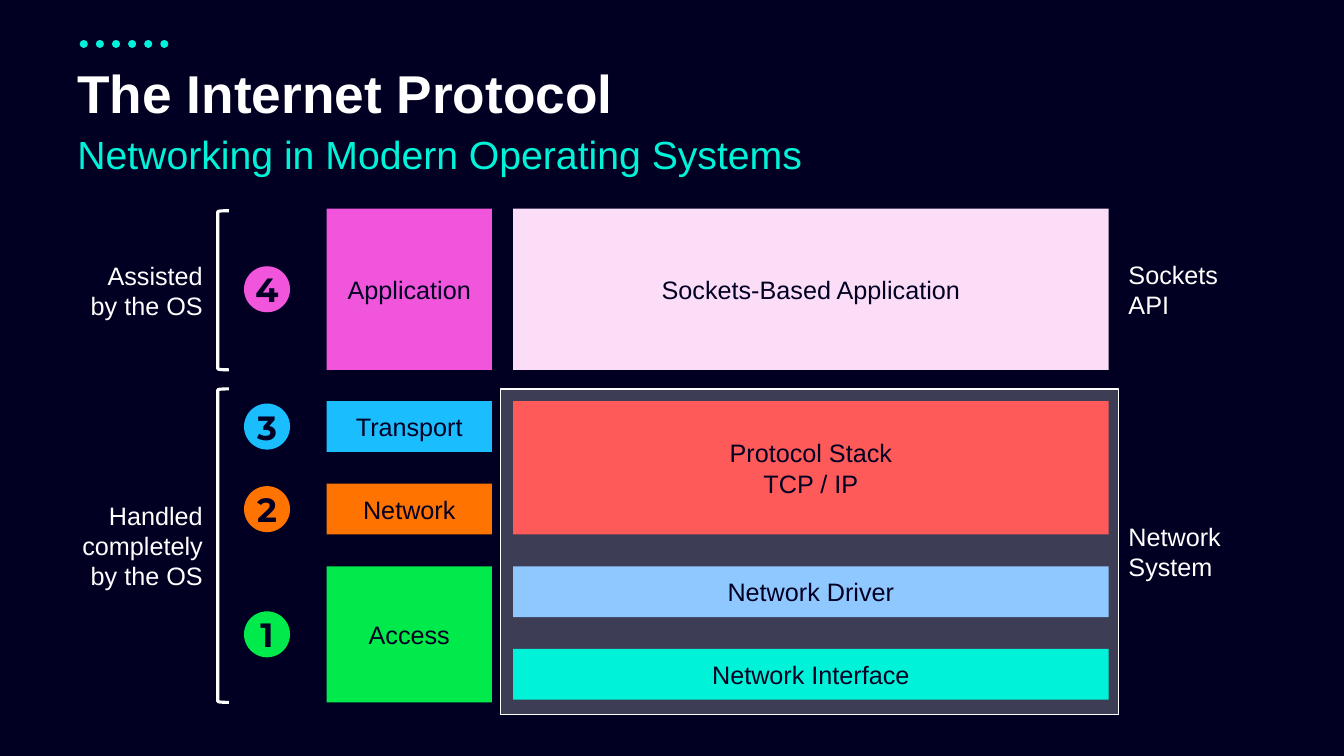
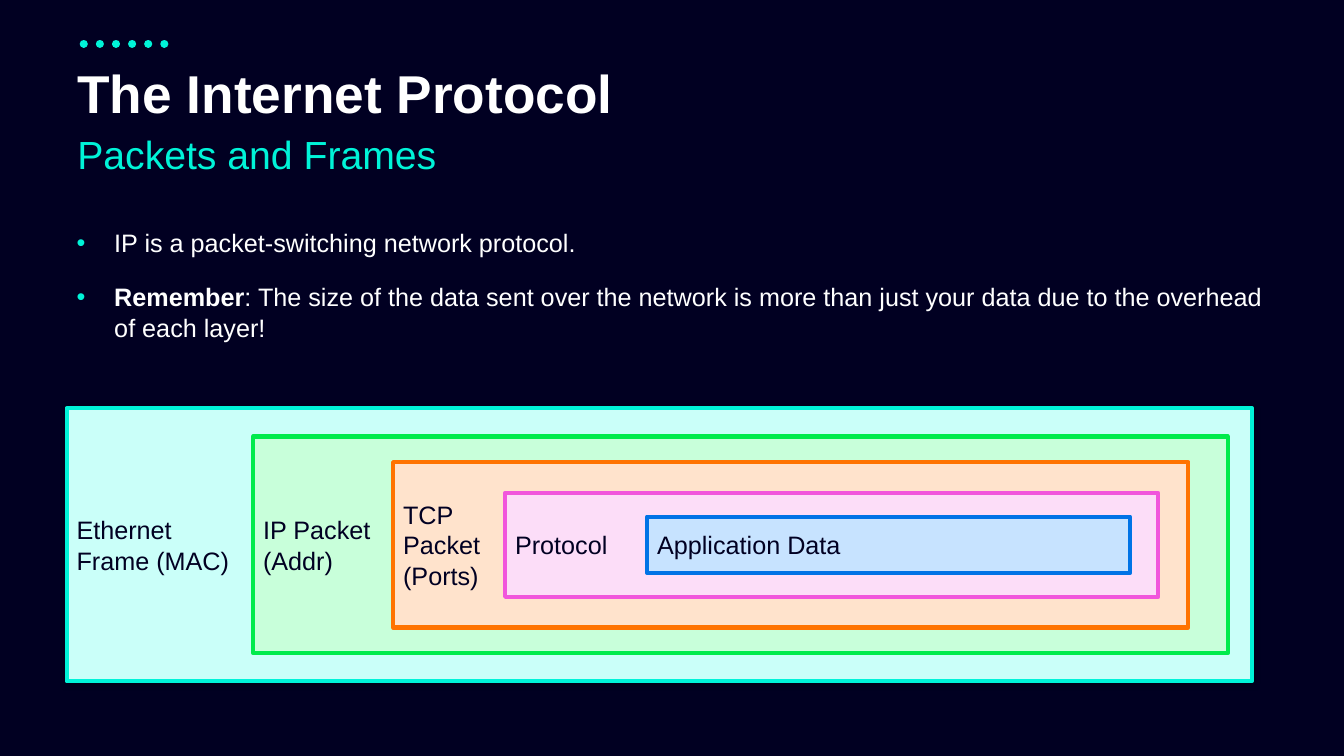
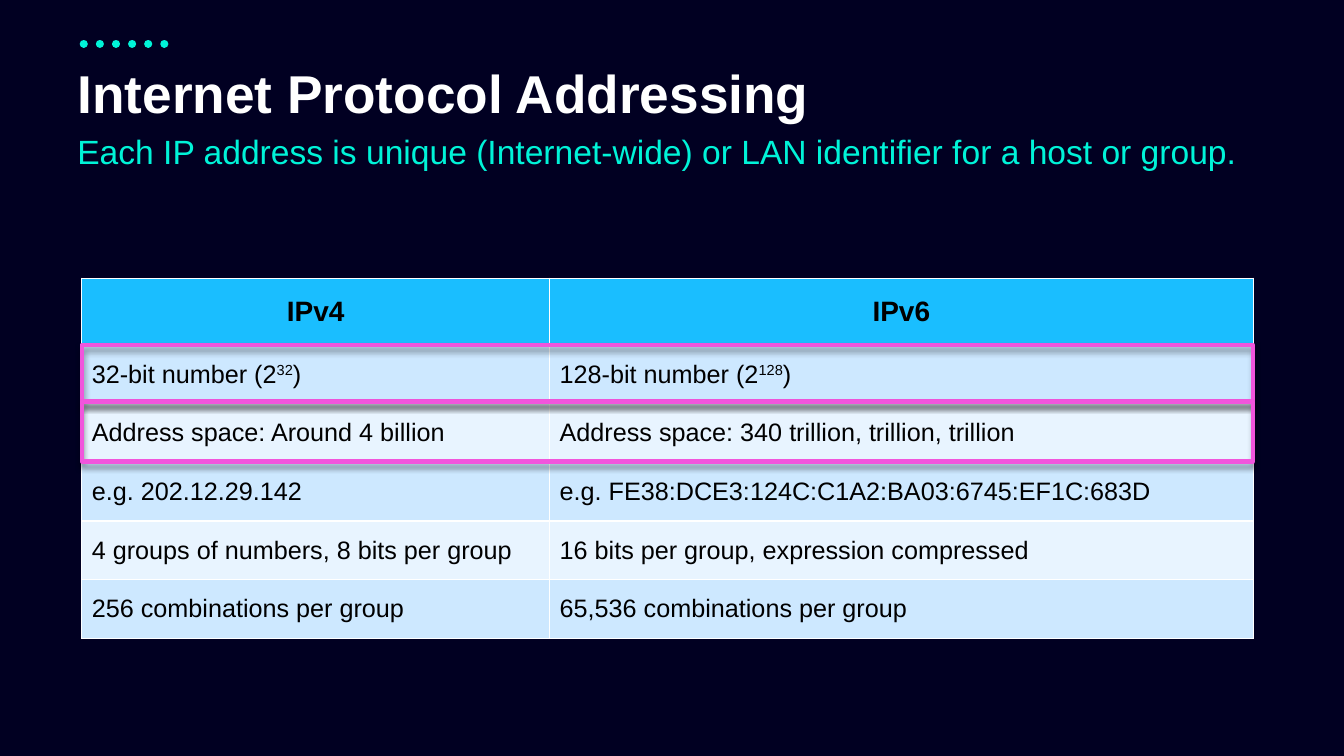
from lxml.etree import SubElement
from pptx import Presentation
from pptx.dml.color import RGBColor
from pptx.enum.dml import MSO_LINE
from pptx.enum.shapes import MSO_CONNECTOR, MSO_SHAPE as SHAPE
from pptx.enum.text import MSO_ANCHOR as ANCHOR, PP_ALIGN as ALIGN
from pptx.oxml.ns import qn
from pptx.util import Cm, Pt

NAVY = RGBColor(0x01, 0x00, 0x22)
WHITE = RGBColor(0xFF, 0xFF, 0xFF)
BLACK = RGBColor(0x00, 0x00, 0x00)
TEAL = RGBColor(0x00, 0xF3, 0xD8)
GREEN = RGBColor(0x00, 0xEB, 0x4B)
ORANGE = RGBColor(0xFF, 0x73, 0x00)
SKY = RGBColor(0x1A, 0xBE, 0xFF)
PINK = RGBColor(0xF1, 0x55, 0xDC)
CORAL = RGBColor(0xFF, 0x5A, 0x5A)
BLUE = RGBColor(0x00, 0x73, 0xE6)
SOFT_BLUE = RGBColor(0x8F, 0xC7, 0xFF)
PALE_PINK = RGBColor(0xFC, 0xDD, 0xF8)
PALE_TEAL = RGBColor(0xCA, 0xFF, 0xF9)
PALE_GREEN = RGBColor(0xC8, 0xFF, 0xDA)
PALE_ORANGE = RGBColor(0xFF, 0xE3, 0xCC)
PALE_BLUE = RGBColor(0xC7, 0xE3, 0xFF)
ROW_DARK = RGBColor(0xCD, 0xE8, 0xFF)
ROW_LIGHT = RGBColor(0xE8, 0xF4, 0xFF)

PROTOCOL = "The Internet Protocol"
STACK_HEAD = (PROTOCOL, "Networking in Modern Operating Systems", 28)
FRAMES_HEAD = (PROTOCOL, "Packets and Frames", 28)
ADDRESS_HEAD = (
    "Internet Protocol Addressing",
    "Each IP address is unique (Internet-wide) or LAN identifier for a host or group.", 24)

APP_TOP, APP_H = 5.26, 4.06
ROW_TOP, ROW_H, ROW_PITCH = 10.11, 1.28, 2.08
TRANSPORT_Y, NETWORK_Y, DRIVER_Y, INTERFACE_Y = (ROW_TOP + i * ROW_PITCH for i in range(4))
LAYERS = [
    ("1", "Access", GREEN, DRIVER_Y, 3.43),
    ("2", "Network", ORANGE, NETWORK_Y, ROW_H),
    ("3", "Transport", SKY, TRANSPORT_Y, ROW_H),
    ("4", "Application", PINK, APP_TOP, APP_H),
]
COMPONENTS = [
    ("Protocol Stack\vTCP / IP", CORAL, TRANSPORT_Y, ROW_PITCH + ROW_H),
    ("Network Interface", TEAL, INTERFACE_Y, ROW_H),
    ("Network Driver", SOFT_BLUE, DRIVER_Y, ROW_H),
    ("Sockets-Based Application", PALE_PINK, APP_TOP, APP_H),
]
SYSTEM_TOP, SYSTEM_H = 9.8, 8.2
DUTIES = [("Assisted by the OS", 5.31, 4.01), ("Handled completely by the OS", SYSTEM_TOP, 7.9)]
INTERFACES = [("Sockets API", APP_TOP, APP_H), ("Network System", SYSTEM_TOP, SYSTEM_H)]

BULLETS = [
    [("IP is a packet-switching network protocol.", "")],
    [("Remember", "bold"),
     (": The size of the data sent over the network is more than just your data "
      "due to the overhead of each layer!", "")],
]
FRAME_MIDDLE = 13.73
FRAMES = [
    ("Ethernet Frame (MAC)", PALE_TEAL, TEAL, 1.68, 29.87, 6.88, 25.4),
    ("IP Packet (Addr)", PALE_GREEN, GREEN, 6.38, 24.56, 5.46, 20.57),
    ("TCP Packet (Ports)", PALE_ORANGE, ORANGE, 9.91, 20.04, 4.17, 17.27),
    ("Protocol", PALE_PINK, PINK, 12.73, 16.46, 2.62, 13.72),
    ("Application Data", PALE_BLUE, BLUE, 16.31, 12.17, 1.42, 6.6),
]

VERSIONS = ["IPv4", "IPv6"]
FACTS = [
    ([("32-bit number (2", ""), ("32", "super"), (")", "")],
     [("128-bit number (2", ""), ("128", "super"), (")", "")]),
    ("Address space: Around 4 billion", "Address space: 340 trillion, trillion, trillion"),
    ("e.g. 202.12.29.142", "e.g. FE38:DCE3:124C:C1A2:BA03:6745:EF1C:683D"),
    ("4 groups of numbers, 8 bits per group", "16 bits per group, expression compressed"),
    ("256 combinations per group", "65,536 combinations per group"),
]
TABLE_LEFT, TABLE_TOP = 2.06, 7.01
COLUMN_WIDTHS = [11.79, 17.73]
HEADER_H, FACT_H = 1.68, 1.48
HIGHLIGHTS = [(8.69, 1.42), (10.13, 1.5)]


def write(paragraph, content, color, size=18, align=ALIGN.LEFT, bold=None, face="Arial"):
    paragraph.alignment = align
    font = paragraph.font
    font.name, font.size, font.bold = face, Pt(size), bold
    font.color.rgb = color
    if isinstance(content, str):
        content = [(content, "")]
    for text, style in content:
        if "\v" in text:
            paragraph.text = text
            continue
        run = paragraph.add_run()
        run.text = text
        if style == "bold":
            run.font.bold = True
        elif style == "super":
            run._r.get_or_add_rPr().set("baseline", "30000")


def add_box(slide, kind, left, top, width, height, fill=None, line=None, weight=1):
    box = slide.shapes.add_shape(kind, Cm(left), Cm(top), Cm(width), Cm(height))
    box.shadow.inherit = False
    if fill is None:
        box.fill.background()
    else:
        box.fill.solid()
        box.fill.fore_color.rgb = fill
    if line is None:
        box.line.fill.background()
    else:
        box.line.color.rgb = line
        box.line.width = Pt(weight)
    return box


def add_text(slide, left, top, width, height, anchor=ANCHOR.TOP):
    frame = slide.shapes.add_textbox(Cm(left), Cm(top), Cm(width), Cm(height)).text_frame
    frame.word_wrap = True
    frame.vertical_anchor = anchor
    return frame


def cast_shadow(box, blur, distance, angle):
    effects = box._element.spPr.find(qn("a:effectLst"))
    shadow = SubElement(effects, qn("a:outerShdw"), blurRad=str(Pt(blur)),
                        dist=str(Pt(distance)), dir=str(angle * 60000), rotWithShape="0")
    black = SubElement(shadow, qn("a:srgbClr"), val=str(BLACK))
    SubElement(black, qn("a:alpha"), val="40000")


def add_slide(prs, title, subtitle, subtitle_size):
    slide = prs.slides.add_slide(prs.slide_layouts[5])
    dots = slide.shapes.add_connector(MSO_CONNECTOR.STRAIGHT, Cm(2.11), Cm(1.1), Cm(4.24), Cm(1.1))
    dots.line.color.rgb = TEAL
    dots.line.width = Pt(5.75)
    dots.line.dash_style = MSO_LINE.ROUND_DOT
    dots.line._get_or_add_ln().set("cap", "rnd")
    SubElement(dots._element.spPr, qn("a:effectLst"))

    heading = slide.shapes.title
    heading.left, heading.top, heading.width, heading.height = Cm(1.7), Cm(1.55), Cm(29.87), Cm(1.73)
    heading.text_frame.vertical_anchor = ANCHOR.MIDDLE
    tagline = add_text(slide, 1.7, 3.3, 29.87, 1.98)
    for frame, text, size, color, bold in (
            (heading.text_frame, title, 38, WHITE, True),
            (tagline, subtitle, subtitle_size, TEAL, None)):
        frame.paragraphs[0].line_spacing = 0.9
        write(frame.paragraphs[0], text, color, size, bold=bold)
    return slide


def build_stack(prs):
    slide = add_slide(prs, *STACK_HEAD)
    system = add_box(slide, SHAPE.RECTANGLE, 12.62, SYSTEM_TOP, 15.57, SYSTEM_H, WHITE, WHITE)
    tint = system._element.spPr.find(qn("a:solidFill")).find(qn("a:srgbClr"))
    SubElement(tint, qn("a:alpha"), val="24000")

    badge_size = 1.16
    for number, layer, color, top, height in LAYERS:
        badge = add_box(slide, SHAPE.OVAL, 6.15, top + (height - badge_size) / 2,
                        badge_size, badge_size, color)
        frame = badge.text_frame
        frame.word_wrap = False
        frame.margin_left = frame.margin_right = frame.margin_top = frame.margin_bottom = 0
        write(frame.paragraphs[0], number, NAVY, 24, ALIGN.CENTER, True, "Montserrat")

    blocks = [(8.23, 4.17, *layer[1:]) for layer in LAYERS]
    blocks += [(12.93, 15.01, *component) for component in COMPONENTS]
    for left, width, label, color, top, height in blocks:
        block = add_box(slide, SHAPE.RECTANGLE, left, top, width, height, color)
        write(block.text_frame.paragraphs[0], label, NAVY, align=ALIGN.CENTER)

    for duty, top, height in DUTIES:
        add_box(slide, SHAPE.LEFT_BRACKET, 5.49, top, 0.28, height, line=WHITE, weight=2.25)
        note = add_text(slide, 1.7, top, 3.66, height, ANCHOR.MIDDLE)
        write(note.paragraphs[0], duty, WHITE, align=ALIGN.RIGHT)
    for interface, top, height in INTERFACES:
        note = add_text(slide, 28.19, top, 3.66, height, ANCHOR.MIDDLE)
        write(note.paragraphs[0], interface, WHITE)


def build_frames(prs):
    slide = add_slide(prs, *FRAMES_HEAD)
    points = add_text(slide, 1.68, 5.61, 30.48, 3.15)
    for index, content in enumerate(BULLETS):
        point = points.add_paragraph() if index else points.paragraphs[0]
        if index:
            point.space_before = Pt(17)
        props = point._p.get_or_add_pPr()
        props.set("marL", str(Cm(0.95)))
        props.set("indent", str(-Cm(0.95)))
        bullet_color = SubElement(props, qn("a:buClr"))
        SubElement(bullet_color, qn("a:srgbClr"), val=str(TEAL))
        SubElement(props, qn("a:buFont"), typeface="Arial")
        SubElement(props, qn("a:buChar"), char="•")
        write(point, content, WHITE)

    for index, (label, fill, line, left, width, height, right_inset) in enumerate(FRAMES):
        packet = add_box(slide, SHAPE.RECTANGLE, left, FRAME_MIDDLE - height / 2,
                         width, height, fill, line, 3)
        packet.text_frame.margin_right = Cm(right_inset)
        write(packet.text_frame.paragraphs[0], label, NAVY)
        if index == 0:
            cast_shadow(packet, 5, 0, 0)


def fill_cell(cell, content, fill, header):
    props = cell._tc.get_or_add_tcPr()
    for side in ("L", "R", "T", "B"):
        weight = 3 if header and side == "B" else 1
        border = SubElement(props, qn("a:ln" + side), w=str(Pt(weight)))
        SubElement(SubElement(border, qn("a:solidFill")), qn("a:srgbClr"), val=str(WHITE))
    cell.fill.solid()
    cell.fill.fore_color.rgb = fill
    cell.vertical_anchor = ANCHOR.MIDDLE
    write(cell.text_frame.paragraphs[0], content, BLACK, 20 if header else 18,
          ALIGN.CENTER if header else ALIGN.LEFT, header)


def build_addressing(prs):
    slide = add_slide(prs, *ADDRESS_HEAD)
    rows = [VERSIONS, *FACTS]
    width = sum(COLUMN_WIDTHS)
    table = slide.shapes.add_table(
        len(rows), len(VERSIONS), Cm(TABLE_LEFT), Cm(TABLE_TOP),
        Cm(width), Cm(HEADER_H + len(FACTS) * FACT_H)).table
    table.first_row = table.horz_banding = False
    for column, column_width in zip(table.columns, COLUMN_WIDTHS):
        column.width = Cm(column_width)
    for r, row in enumerate(rows):
        header = r == 0
        table.rows[r].height = Cm(HEADER_H if header else FACT_H)
        fill = SKY if header else (ROW_DARK if r % 2 else ROW_LIGHT)
        for c, content in enumerate(row):
            fill_cell(table.cell(r, c), content, fill, header)

    for top, height in HIGHLIGHTS:
        highlight = add_box(slide, SHAPE.RECTANGLE, TABLE_LEFT, top, width, height,
                            line=PINK, weight=3)
        cast_shadow(highlight, 4, 3, 90)


def main():
    prs = Presentation()
    prs.slide_width, prs.slide_height = Cm(33.87), Cm(19.05)
    backdrop = prs.slide_master.background.fill
    backdrop.solid()
    backdrop.fore_color.rgb = NAVY
    build_stack(prs)
    build_frames(prs)
    build_addressing(prs)
    prs.save("out.pptx")


if __name__ == "__main__":
    main()
